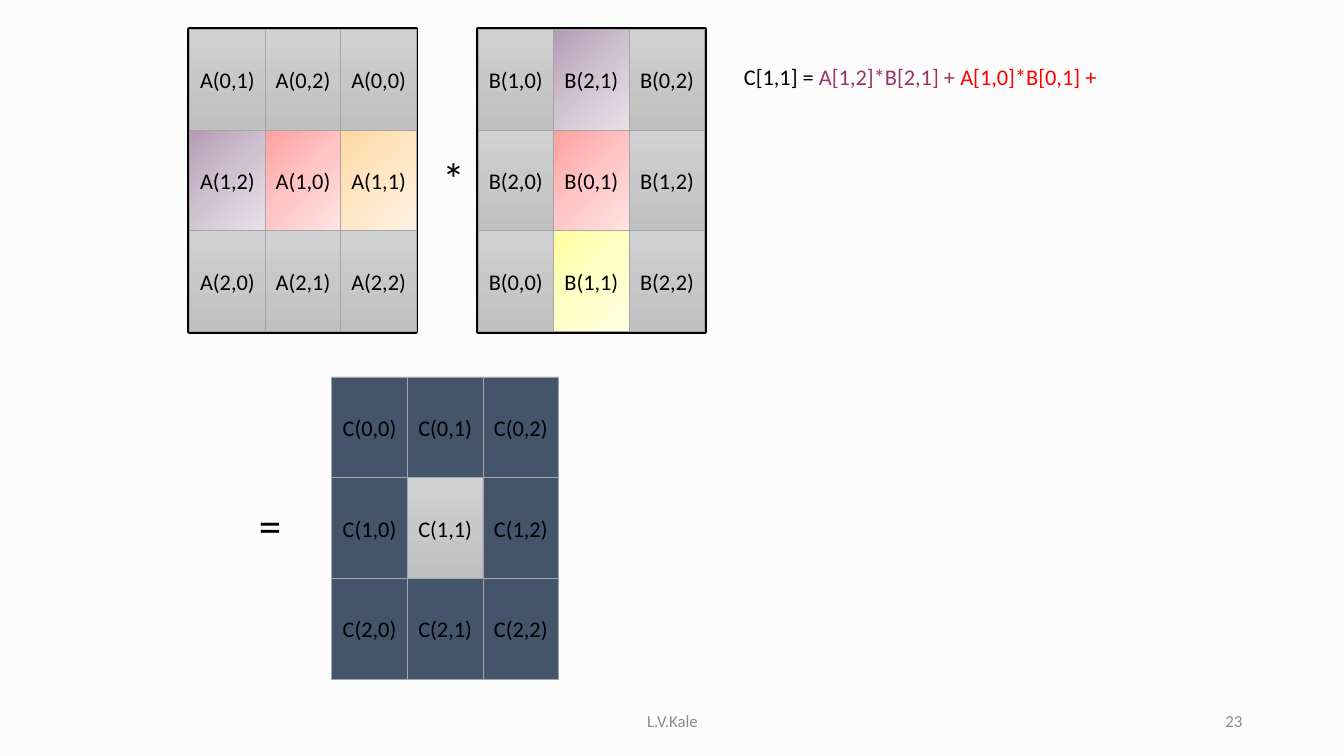
import copy
import pptx
import pptx.util
import pptx.dml.color
import pptx.enum.shapes
import pptx.enum.text
import pptx.oxml.ns

MATRICES = [
    dict(at=(1.88, 0.29), frame=("white", "black", 3), cells=[
        [("A(0,1)", "gray"), ("A(0,2)", "gray"), ("A(0,0)", "gray")],
        [("A(1,2)", "purple"), ("A(1,0)", "red"), ("A(1,1)", "orange")],
        [("A(2,0)", "gray"), ("A(2,1)", "gray"), ("A(2,2)", "gray")]]),
    dict(at=(4.74, 0.29), frame=("white", "black", 3), cells=[
        [("B(1,0)", "gray"), ("B(2,1)", "purple"), ("B(0,2)", "gray")],
        [("B(2,0)", "gray"), ("B(0,1)", "red"), ("B(1,2)", "gray")],
        [("B(0,0)", "gray"), ("B(1,1)", "yellow"), ("B(2,2)", "gray")]]),
    dict(at=(3.29, 3.74), frame=("gray", "edge", 0.5), cells=[
        [("C(0,0)", "slate"), ("C(0,1)", "slate"), ("C(0,2)", "slate")],
        [("C(1,0)", "slate"), ("C(1,1)", "gray"), ("C(1,2)", "slate")],
        [("C(2,0)", "slate"), ("C(2,1)", "slate"), ("C(2,2)", "slate")]]),
]
EQUATION = [("C[1,1] = ", "black"), ("A[1,2]*B[2,1] + ", "plum"),
            ("A[1,0]*B[0,1] +", "bright")]
LABELS = [
    (EQUATION, (7.28, 0.58, 3.83, 0.37), dict(size="body")),
    ([("*", "black")], (4.29, 1.45, 0.26, 0.64), dict(size="operator")),
    ([("=", "black")], (2.47, 4.89, 0.26, 0.64), dict(size="operator")),
    ([("L.V.Kale", "muted")], (4.42, 6.95, 4.5, 0.4),
     dict(size="footer", align="CENTER", anchor="MIDDLE")),
    ([("23", "muted")], (9.42, 6.95, 3, 0.4),
     dict(size="footer", align="RIGHT", anchor="MIDDLE")),
]
THEME = dict(
    font="Calibri",
    sizes=dict(body=16, operator=32, footer=12),
    colors=dict(page="FCFCFC", white="FFFFFF", black="000000", edge="A5A5A5",
                slate="44546A", plum="993366", bright="FF0000", muted="8C8C8C"),
    gradients=dict(
        gray=(90, "D2D2D2", "C8C8C8", "C0C0C0"),
        purple=(45, "B49BB4", "D0C3D0", "E8E2E8"),
        red=(45, "FFA0A0", "FFC5C5", "FFE3E3"),
        orange=(45, "FFD8A0", "FFE6C5", "FFF2E3"),
        yellow=(45, "FFFFA0", "FFFFC5", "FFFFE3")),
)
CELL_W, CELL_H = 0.75, 1


def inches(*lengths):
    return [pptx.util.Inches(n) for n in lengths]


def rgb(name):
    return pptx.dml.color.RGBColor.from_string(THEME["colors"].get(name, name))


def paint(sp, name):
    if name not in THEME["gradients"]:
        sp.fill.solid()
        sp.fill.fore_color.rgb = rgb(name)
        return
    angle, *colors = THEME["gradients"][name]
    sp.fill.gradient()
    stops = next(sp._element.iter(pptx.oxml.ns.qn("a:gsLst")))
    stops.append(copy.deepcopy(stops[-1]))
    for i, (stop, color) in enumerate(zip(sp.fill.gradient_stops, colors)):
        stop.position = i / 2
        stop.color.rgb = rgb(color)
    sp.fill.gradient_angle = 360 - angle


def write(sp, runs, size="body", align="LEFT", anchor="TOP", inset=0.1):
    tf = sp.text_frame
    tf.word_wrap = True
    tf.margin_left = tf.margin_right = pptx.util.Inches(inset)
    tf.vertical_anchor = pptx.enum.text.MSO_ANCHOR[anchor]
    p = tf.paragraphs[0]
    p.alignment = pptx.enum.text.PP_ALIGN[align]
    for text, color in runs:
        r = p.add_run()
        r.text = text
        r.font.name = THEME["font"]
        r.font.size = pptx.util.Pt(THEME["sizes"][size])
        r.font.color.rgb = rgb(color)


def add_box(shapes, at, fill, line, weight):
    sp = shapes.add_shape(pptx.enum.shapes.MSO_SHAPE.RECTANGLE, *inches(*at))
    sp.shadow.inherit = False
    paint(sp, fill)
    sp.line.color.rgb = rgb(line)
    sp.line.width = pptx.util.Pt(weight)
    return sp


def add_matrix(s, at, frame, cells):
    left, top = at
    shapes = s.shapes.add_group_shape().shapes
    add_box(shapes, (left, top, CELL_W * len(cells[0]), CELL_H * len(cells)), *frame)
    for i, row in enumerate(cells):
        for j, (text, fill) in enumerate(row):
            place = (left + j * CELL_W, top + i * CELL_H, CELL_W, CELL_H)
            sp = add_box(shapes, place, fill, "edge", 0.5)
            write(sp, [(text, "black")], align="CENTER", anchor="MIDDLE", inset=0)


def main():
    prs = pptx.Presentation()
    prs.slide_width, prs.slide_height = inches(13.33, 7.5)
    s = prs.slides.add_slide(prs.slide_layouts[6])
    s.background.fill.solid()
    s.background.fill.fore_color.rgb = rgb("page")
    for matrix in MATRICES:
        add_matrix(s, **matrix)
    for runs, at, style in LABELS:
        write(s.shapes.add_textbox(*inches(*at)), runs, **style)
    prs.save("out.pptx")


if __name__ == "__main__":
    main()
